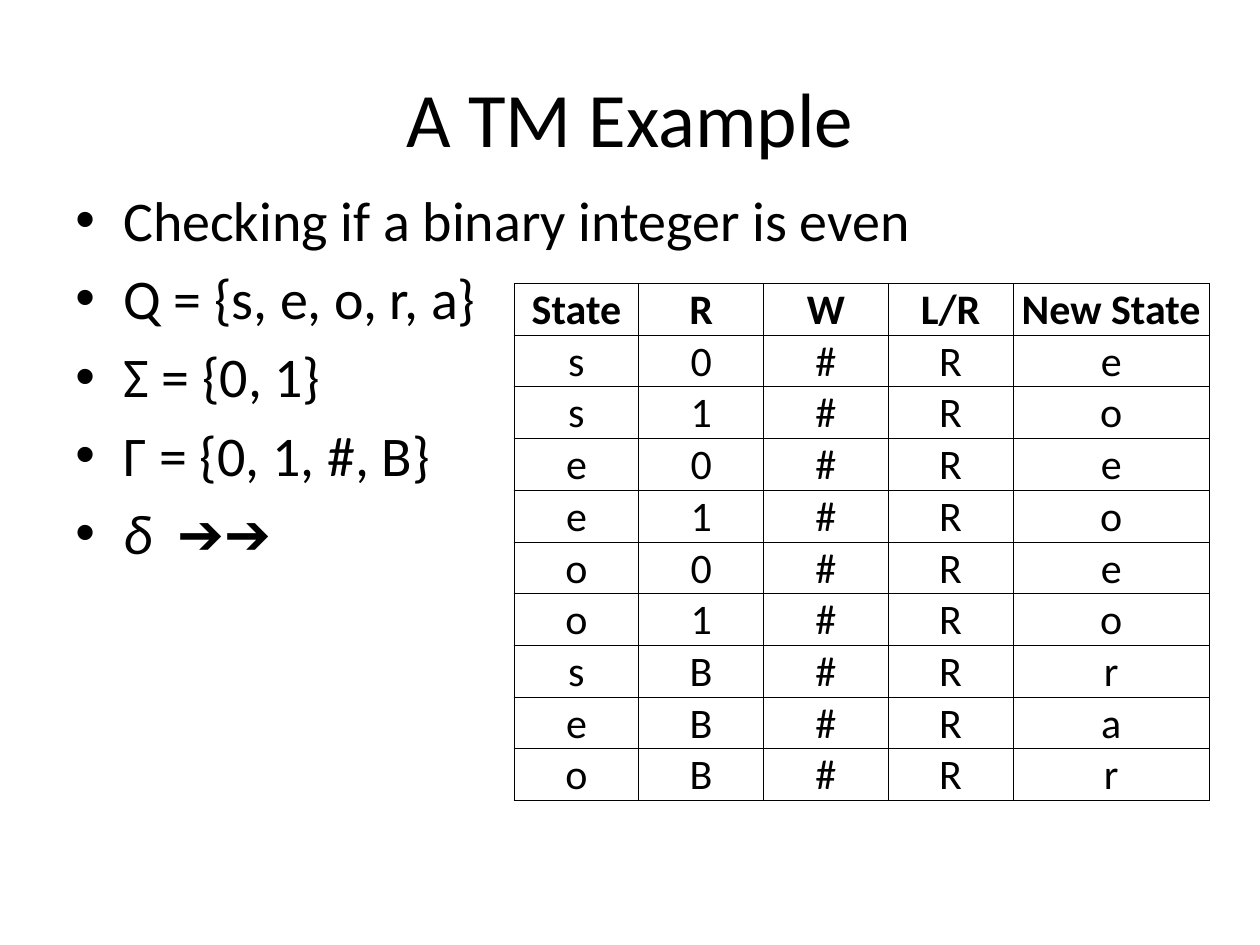
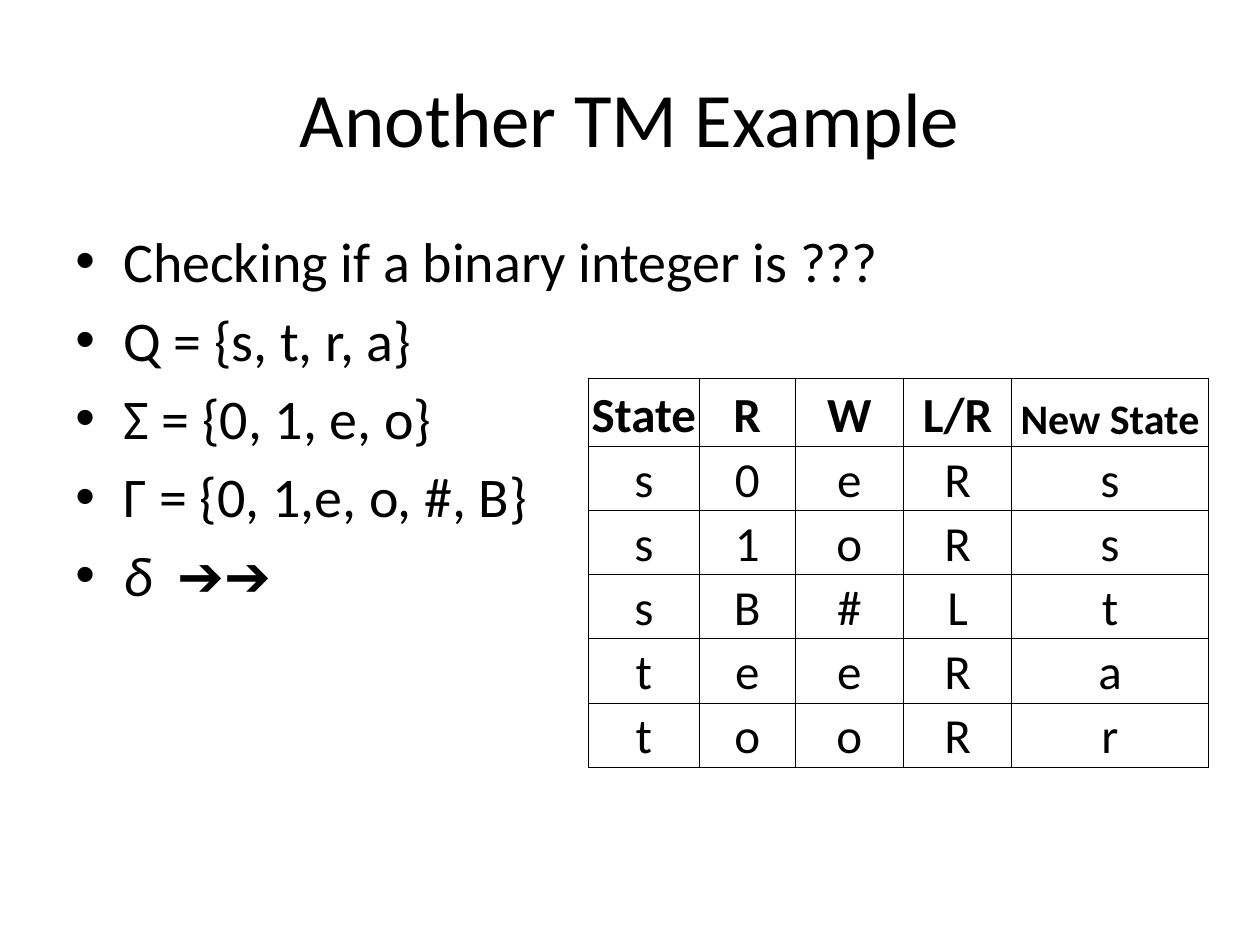
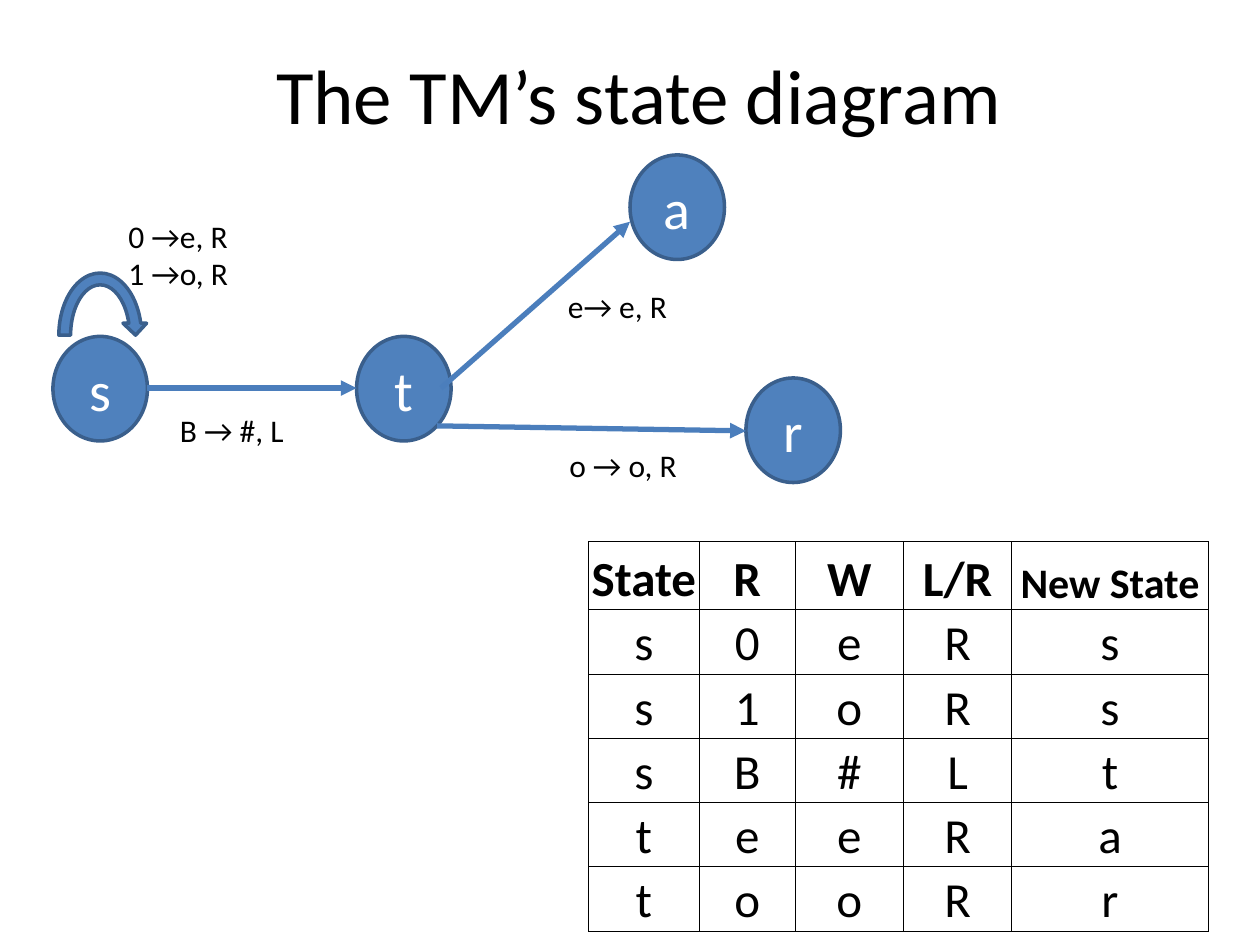
from dataclasses import dataclass

from lxml.etree import SubElement
from pptx import Presentation
from pptx.dml.color import RGBColor
from pptx.enum.shapes import MSO_CONNECTOR, MSO_SHAPE
from pptx.enum.text import MSO_ANCHOR, MSO_AUTO_SIZE, PP_ALIGN
from pptx.oxml.ns import qn
from pptx.util import Pt

PX = 9144


@dataclass(frozen=True)
class Theme:
    font: str = "Calibri"
    ink: str = "000000"
    pale: str = "FFFFFF"
    node: str = "4F81BD"
    rim: str = "3A5F8C"
    link: str = "4B7EBC"
    title: int = 44
    body: int = 32
    cell: int = 28
    small: int = 24
    label: int = 18


THEME = Theme()
HEADS = ["State", "R", "W", "L/R", "New State"]
EVEN = ["s0#Re", "s1#Ro", "e0#Re", "e1#Ro", "o0#Re",
        "o1#Ro", "sB#Rr", "eB#Ra", "oB#Rr"]
PARITY = ["s0eRs", "s1oRs", "sB#Lt", "teeRa", "tooRr"]
WIDE = dict(cols=[99, 99, 99, 99, 156], tall=[39, 37], size=THEME.small)
SLIM = dict(cols=[88, 76, 86, 86, 156], tall=[54, 51], size=THEME.cell)


def scale(box):
    return [n * PX for n in box]


def style(part, **values):
    for name, value in values.items():
        setattr(part, name, value)


def write(frame, lines, size, color=THEME.ink, align=PP_ALIGN.LEFT, **look):
    for i, line in enumerate(lines):
        para = frame.add_paragraph() if i else frame.paragraphs[0]
        para.alignment = align
        run = para.add_run()
        run.text = line
        style(run.font, name=THEME.font, size=Pt(size), **look)
        run.font.color.rgb = RGBColor.from_string(color)


def start(deck, text, box):
    slide = deck.slides.add_slide(deck.slide_layouts[5])
    title = slide.shapes.title
    style(title, **dict(zip(("left", "top", "width", "height"), scale(box))))
    title.text_frame.vertical_anchor = MSO_ANCHOR.MIDDLE
    write(title.text_frame, [text], THEME.title, align=PP_ALIGN.CENTER)
    return slide


def list_facts(slide, box, lines):
    frame = slide.shapes.add_textbox(*scale(box)).text_frame
    frame.word_wrap = True
    write(frame, lines, THEME.body)
    for para in frame.paragraphs:
        para.space_before = Pt(THEME.body * 0.2)
        props = para._p.get_or_add_pPr()
        props.set("marL", str(38 * PX))
        props.set("indent", str(-38 * PX))
        SubElement(props, qn("a:buFont"), typeface="Arial")
        SubElement(props, qn("a:buChar"), char="•")
    frame.paragraphs[-1].runs[0].font.italic = True


def edge(cell):
    props = cell._tc.get_or_add_tcPr()
    for i, side in enumerate("LRTB"):
        line = SubElement(props, qn(f"a:ln{side}"), w=str(Pt(0.5)))
        fill = SubElement(line, qn("a:solidFill"))
        SubElement(fill, qn("a:srgbClr"), val=THEME.ink)
        props.insert(i, line)


def draw_rules(slide, spot, rows, cols, tall, size):
    data = [HEADS, *rows]
    highs = [tall[0]] + [tall[1]] * len(rows)
    box = (*spot, sum(cols), sum(highs))
    table = slide.shapes.add_table(len(data), len(cols), *scale(box)).table
    style(table, first_row=False, horz_banding=False)
    for col, width in zip(table.columns, cols):
        col.width = width * PX
    for r, (row, high) in enumerate(zip(data, highs)):
        table.rows[r].height = high * PX
        for c, text in enumerate(row):
            cell = table.cell(r, c)
            style(cell, margin_left=PX, margin_right=PX, margin_top=PX,
                  margin_bottom=0, vertical_anchor=MSO_ANCHOR.BOTTOM)
            cell.fill.background()
            edge(cell)
            fit = THEME.small if text == "New State" else size
            write(cell.text_frame, [text], fit, align=PP_ALIGN.CENTER,
                  bold=r == 0)


def add_form(slide, kind, box):
    form = slide.shapes.add_shape(kind, *scale(box))
    form.shadow.inherit = False
    form.fill.solid()
    form.fill.fore_color.rgb = RGBColor.from_string(THEME.node)
    form.line.color.rgb = RGBColor.from_string(THEME.rim)
    form.line.width = Pt(2)
    return form


def add_link(slide, ends):
    link = slide.shapes.add_connector(MSO_CONNECTOR.STRAIGHT, *scale(ends))
    link.line.color.rgb = RGBColor.from_string(THEME.link)
    link.line.width = Pt(3)
    SubElement(link.line._get_or_add_ln(), qn("a:tailEnd"), type="triangle")
    SubElement(link._element.spPr, qn("a:effectLst"))


def add_label(slide, box, lines):
    frame = slide.shapes.add_textbox(*scale(box)).text_frame
    style(frame, word_wrap=True, auto_size=MSO_AUTO_SIZE.SHAPE_TO_FIT_TEXT)
    write(frame, lines, THEME.label)


def draw_states(slide, spot):
    left, top = spot
    nodes = {"s": (0, 144), "t": (241, 144), "a": (458, 0), "r": (550, 177)}
    for name, (x, y) in nodes.items():
        node = add_form(slide, MSO_SHAPE.OVAL, (left + x, top + y, 75, 83))
        node.text_frame.vertical_anchor = MSO_ANCHOR.MIDDLE
        write(node.text_frame, [name], THEME.body, THEME.pale,
              PP_ALIGN.CENTER)
    add_form(slide, MSO_SHAPE.CIRCULAR_ARROW, (left, top + 89, 75, 108))
    links = [(75, 185, 241, 185), (308, 185, 458, 53), (305, 215, 550, 219)]
    for x1, y1, x2, y2 in links:
        add_link(slide, (left + x1, top + y1, left + x2, top + y2))
    labels = [
        (50, 44, 142, 71, ["0 →e, R", "1 →o, R"]),
        (91, 198, 133, 42, ["B → #, L"]),
        (399, 100, 133, 42, ["e→ e, R"]),
        (400, 226, 133, 42, ["o → o, R"]),
    ]
    for x, y, width, high, lines in labels:
        add_label(slide, (left + x, top + y, width, high), lines)


def main():
    deck = Presentation()
    style(deck, slide_width=1000 * PX, slide_height=750 * PX)

    slide = start(deck, "A TM Example", (50, 30, 900, 125))
    list_facts(slide, (50, 142, 900, 528), [
        "Checking if a binary integer is even", "Q = {s, e, o, r, a}",
        "Σ = {0, 1}", "Γ = {0, 1, #, B}", "δ  ➔➔"])
    draw_rules(slide, (408, 225), EVEN, **WIDE)

    slide = start(deck, "Another TM Example", (50, 30, 900, 125))
    list_facts(slide, (50, 175, 925, 495), [
        "Checking if a binary integer is ???", "Q = {s, t, r, a}",
        "Σ = {0, 1, e, o}", "Γ = {0, 1,e, o, #, B}", "δ  ➔➔"])
    draw_rules(slide, (467, 300), PARITY, **SLIM)

    slide = start(deck, "The TM’s state diagram", (57, 12, 900, 125))
    draw_states(slide, (42, 123))
    draw_rules(slide, (467, 430), PARITY, **SLIM)

    deck.save("out.pptx")


if __name__ == "__main__":
    main()
